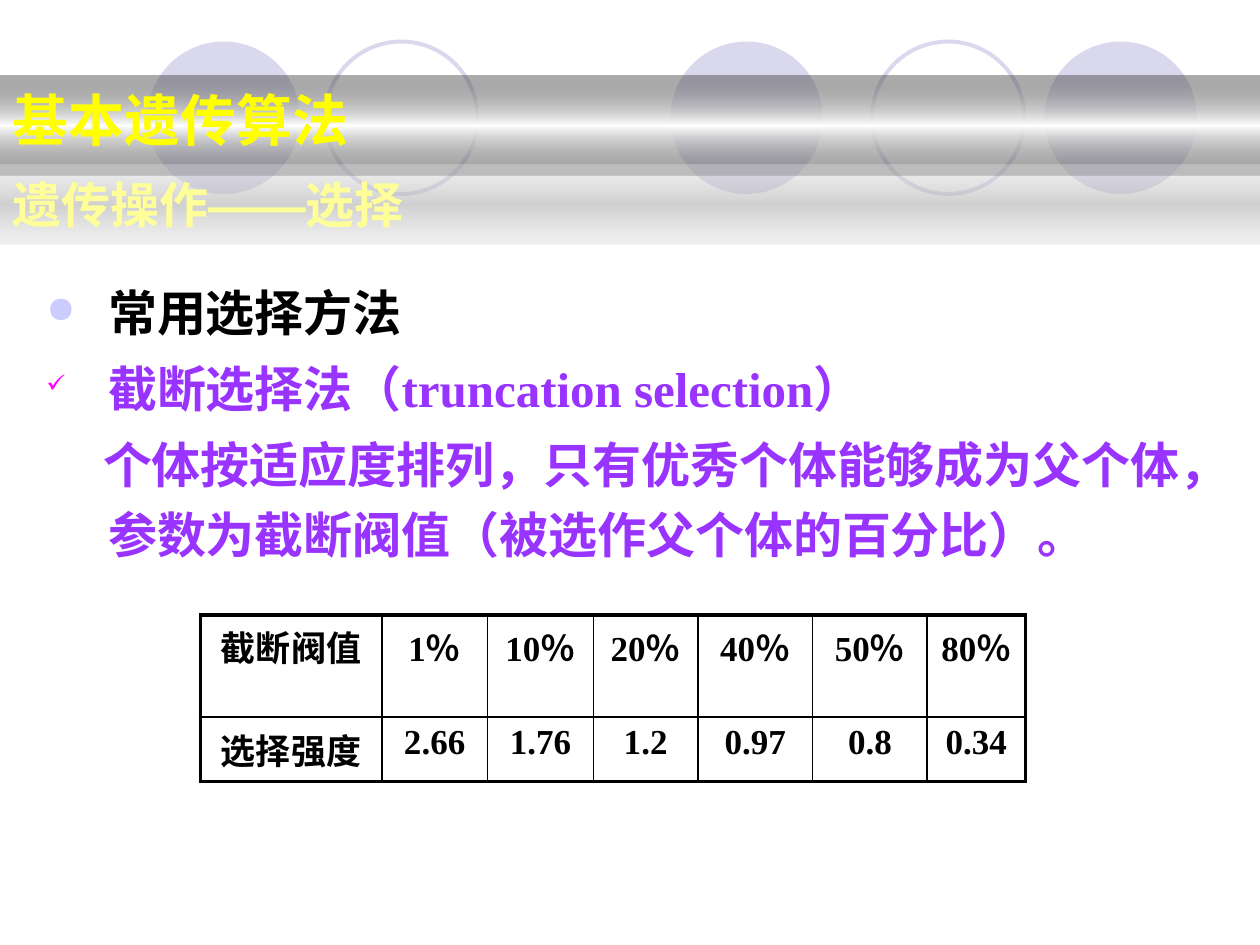
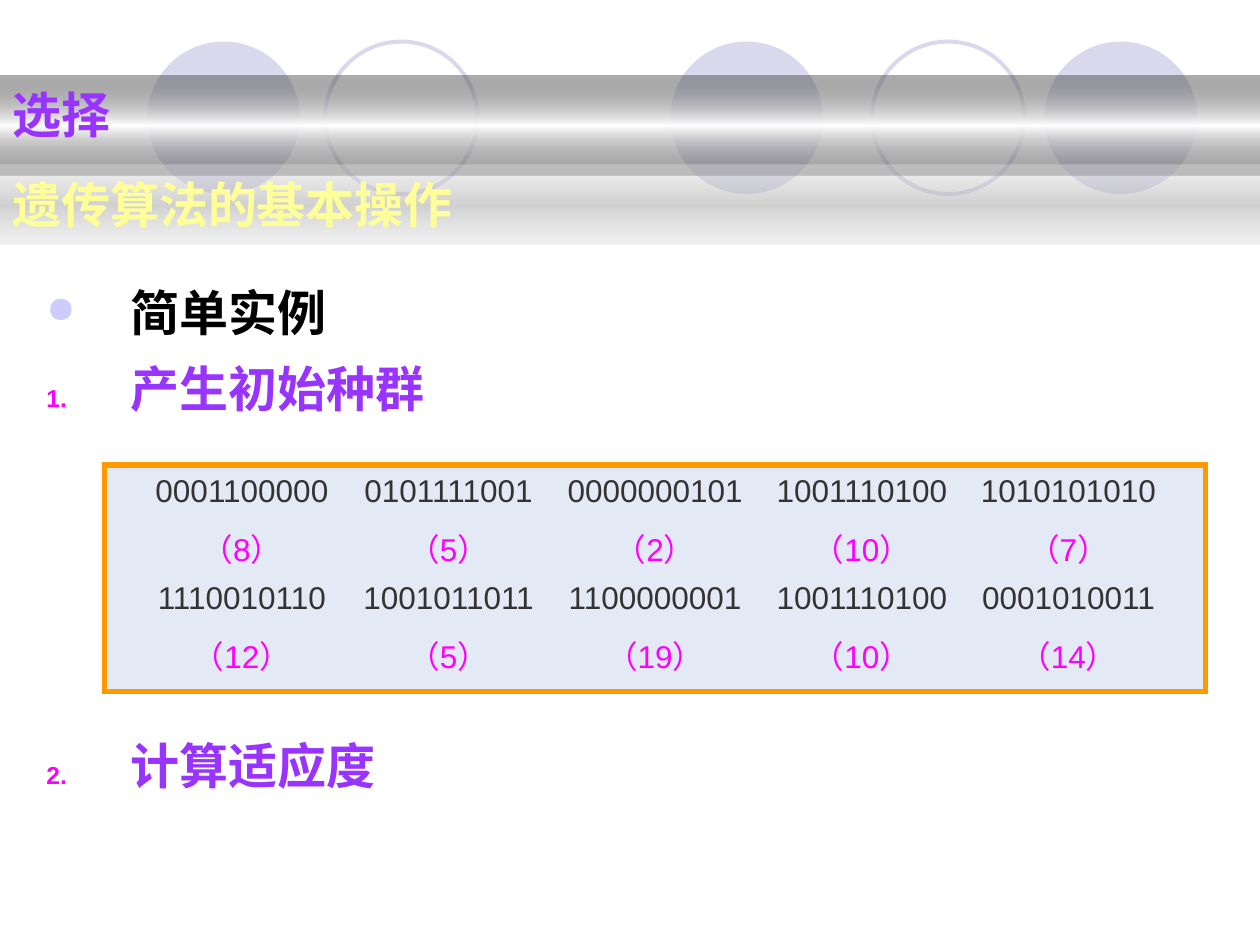
from pptx import Presentation, util as u
from pptx.dml.color import RGBColor
from pptx.enum import shapes, text
from pptx.oxml import parse_xml
from pptx.oxml.ns import nsdecls, qn

BLACK = RGBColor(0, 0, 0)
YELLOW = RGBColor(0xFF, 0xFF, 0x00)
PALE_YELLOW = RGBColor(0xFF, 0xFF, 0x99)
PURPLE = RGBColor(0x99, 0x33, 0xFF)
MAGENTA = RGBColor(0xFF, 0x00, 0xFF)
LAVENDER = RGBColor(0xCC, 0xCC, 0xFF)
CIRCLE = RGBColor(0xD9, 0xD8, 0xEC)
ORANGE = RGBColor(0xFF, 0x99, 0x00)
PALE_BLUE = RGBColor(0xE3, 0xEA, 0xF5)
DARK_GRAY = RGBColor(0x33, 0x33, 0x33)
ARIAL, TIMES = "Arial", "Times New Roman"

WIDTH, HEIGHT = 10, 7.5
CIRCLE_SIZE = 1.21
CIRCLES = [(5.32, True), (8.29, True), (1.17, True), (6.92, False), (2.58, False)]
TITLE_BAND = (0, 0.6, WIDTH, 0.79)
SUBTITLE_BAND = (0, 1.31, WIDTH, 0.63)
BODY = (0.27, 2.1, 9.34, 5.2)
TITLE_STOPS = [(0, "333333", 40), (50, "FFFFFF", 100), (100, "333333", 40)]
SUBTITLE_STOPS = [(0, "DDDDDD", 40), (50, "B2B2B2", 60), (100, "DDDDDD", 40)]

DOT = ('<a:buChar {} char="●"/>', LAVENDER, 75)
CHECK = ('<a:buChar {} char="✓"/>', MAGENTA, 50)
NUMBER = ('<a:buAutoNum {} type="arabicPeriod"/>', MAGENTA, 50)

SELECTION = {
    "title": ("基本遗传算法", 32, TIMES, YELLOW),
    "subtitle": "遗传操作——选择",
    "body": [
        ("常用选择方法", ARIAL, BLACK, DOT, (0.49, -0.49), 3),
        ("截断选择法（truncation selection）", TIMES, PURPLE, CHECK, (0.49, -0.49), 3),
        ("个体按适应度排列，只有优秀个体能够成为父个体，参数为截断阀值（被选作父个体的百分比）。",
         TIMES, PURPLE, None, (0.49, -0.04), 3),
    ],
}
EXAMPLE = {
    "title": ("选择", 28, ARIAL, PURPLE),
    "subtitle": "遗传算法的基本操作",
    "body": [
        ("简单实例", ARIAL, BLACK, DOT, (0.67, -0.67), 3),
        ("产生初始种群", TIMES, PURPLE, NUMBER, (0.67, -0.67), 3),
        ("计算适应度", TIMES, PURPLE, NUMBER, (0.67, -0.67), 175),
    ],
}
THRESHOLDS = [
    ["截断阀值", "1％", "10％", "20％", "40％", "50％", "80％"],
    ["选择强度", "2.66", "1.76", "1.2", "0.97", "0.8", "0.34"],
]
COLUMN_WIDTHS = [1.44, 0.84, 0.84, 0.83, 0.91, 0.91, 0.78]
ROW_HEIGHTS = [0.43, 0.51]
POPULATION = [
    [("0001100000", 8), ("0101111001", 5), ("0000000101", 2), ("1001110100", 10), ("1010101010", 7)],
    [("1110010110", 12), ("1001011011", 5), ("1100000001", 19), ("1001110100", 10), ("0001010011", 14)],
]
POPULATION_BOX = (0.83, 3.69, 8.74, 1.8)
FIRST_COLUMN, COLUMN_STEP = 1.09, 1.64


def inches(values):
    return [u.Inches(value) for value in values]


def add_run(paragraph, words, size, font, color, bold=True, east_asian=True):
    run = paragraph.add_run()
    run.text = words
    run.font.size = u.Pt(size)
    run.font.name = font
    run.font.bold = bold
    run.font.color.rgb = color
    if east_asian:
        latin = run.font._element.find(qn("a:latin"))
        latin.addnext(parse_xml(f'<a:ea {nsdecls("a")} typeface="{ARIAL}"/>'))


def set_spacing(paragraph, line, before, indent):
    paragraph.alignment = text.PP_ALIGN.LEFT
    paragraph.line_spacing = line
    paragraph.space_before = u.Pt(before)
    properties = paragraph._p.get_or_add_pPr()
    properties.set("marL", str(u.Inches(indent[0])))
    properties.set("indent", str(u.Inches(indent[1])))
    return properties


def prepare_frame(shape):
    frame = shape.text_frame
    frame.word_wrap = True
    frame.auto_size = text.MSO_AUTO_SIZE.NONE
    frame.vertical_anchor = text.MSO_ANCHOR.TOP
    return frame


def fill_gradient(shape, stops):
    marks = "".join(
        f'<a:gs pos="{position * 1000}"><a:srgbClr val="{color}">'
        f'<a:alpha val="{alpha * 1000}"/></a:srgbClr></a:gs>'
        for position, color, alpha in stops)
    shape.fill.background()
    empty = shape.element.spPr.find(qn("a:noFill"))
    empty.getparent().replace(empty, parse_xml(
        f'<a:gradFill {nsdecls("a")} rotWithShape="1"><a:gsLst>{marks}</a:gsLst>'
        '<a:lin ang="5400000" scaled="1"/></a:gradFill>'))
    shape.line.fill.background()


def format_band(shape, stops, words, size, font, color):
    fill_gradient(shape, stops)
    paragraph = prepare_frame(shape).paragraphs[0]
    set_spacing(paragraph, 1.05, size * 0.2, (0.49, -0.49))
    add_run(paragraph, words, size, font, color)


def add_shape(slide, kind, box):
    shape = slide.shapes.add_shape(kind, *inches(box))
    shape.shadow.inherit = False
    return shape


def add_circles(slide):
    for left, filled in CIRCLES:
        circle = add_shape(slide, shapes.MSO_SHAPE.OVAL, (left, 0.33, CIRCLE_SIZE, CIRCLE_SIZE))
        if filled:
            circle.fill.solid()
            circle.fill.fore_color.rgb = CIRCLE
            circle.line.fill.background()
        else:
            circle.fill.background()
            circle.line.color.rgb = CIRCLE
            circle.line.width = u.Pt(2.25)


def add_bullet(properties, bullet):
    mark, color, percent = bullet
    for xml in (f'<a:buClr {{}}><a:srgbClr val="{color}"/></a:buClr>',
                f'<a:buSzPct {{}} val="{percent * 1000}"/>', mark):
        properties.append(parse_xml(xml.format(nsdecls("a"))))


def add_body(slide, items):
    frame = prepare_frame(slide.shapes.add_textbox(*inches(BODY)))
    for index, (words, font, color, bullet, indent, before) in enumerate(items):
        paragraph = frame.add_paragraph() if index else frame.paragraphs[0]
        properties = set_spacing(paragraph, 1.2, before, indent)
        if bullet:
            add_bullet(properties, bullet)
        add_run(paragraph, words, 28, font, color)


def add_slide(presentation, content):
    slide = presentation.slides.add_slide(presentation.slide_layouts[5])
    add_circles(slide)
    title = slide.shapes.title
    slide.shapes.element.append(title.element)
    title.left, title.top, title.width, title.height = inches(TITLE_BAND)
    format_band(title, TITLE_STOPS, *content["title"])
    add_body(slide, content["body"])
    subtitle = add_shape(slide, shapes.MSO_SHAPE.RECTANGLE, SUBTITLE_BAND)
    format_band(subtitle, SUBTITLE_STOPS, content["subtitle"], 28, TIMES, PALE_YELLOW)
    return slide


def set_borders(cell, outer_sides):
    properties = cell._tc.get_or_add_tcPr()
    for index, side in enumerate("LRTB"):
        width = u.Pt(2.25 if side in outer_sides else 1)
        properties.insert(index, parse_xml(
            f'<a:ln{side} {nsdecls("a")} w="{width}"><a:solidFill>'
            f'<a:srgbClr val="{BLACK}"/></a:solidFill></a:ln{side}>'))


def add_threshold_table(slide):
    rows, columns = len(THRESHOLDS), len(COLUMN_WIDTHS)
    table = slide.shapes.add_table(rows, columns, *inches(
        (1.59, 4.88, sum(COLUMN_WIDTHS), sum(ROW_HEIGHTS)))).table
    table.first_row = table.horz_banding = False
    for column, width in zip(table.columns, COLUMN_WIDTHS):
        column.width = u.Inches(width)
    for row, height in zip(table.rows, ROW_HEIGHTS):
        row.height = u.Inches(height)
    for row, values in enumerate(THRESHOLDS):
        for column, value in enumerate(values):
            cell = table.cell(row, column)
            cell.fill.background()
            edges = {"L": column == 0, "R": column == columns - 1,
                     "T": row == 0, "B": row == rows - 1}
            set_borders(cell, [side for side, outer in edges.items() if outer])
            paragraph = cell.text_frame.paragraphs[0]
            paragraph.alignment = text.PP_ALIGN.CENTER
            paragraph.space_before = u.Pt(4)
            add_run(paragraph, value, 20, TIMES, BLACK, east_asian=False)


def add_population(slide):
    left, top, width, height = POPULATION_BOX
    box = add_shape(slide, shapes.MSO_SHAPE.RECTANGLE, POPULATION_BOX)
    box.fill.solid()
    box.fill.fore_color.rgb = PALE_BLUE
    box.line.color.rgb = ORANGE
    box.line.width = u.Pt(3)
    box.element.spPr.find(qn("a:ln")).append(parse_xml(f'<a:miter {nsdecls("a")} lim="800000"/>'))
    for index, individuals in enumerate(zip(*POPULATION)):
        column = left + FIRST_COLUMN - COLUMN_STEP / 2 + COLUMN_STEP * index
        frame = prepare_frame(slide.shapes.add_textbox(*inches((column, top, COLUMN_STEP, height))))
        frame.margin_left = frame.margin_right = 0
        lines = []
        for code, count in individuals:
            lines += [(code, DARK_GRAY, 6), (f"（{count}）", MAGENTA, 12)]
        for position, (words, color, before) in enumerate(lines):
            paragraph = frame.add_paragraph() if position else frame.paragraphs[0]
            paragraph.alignment = text.PP_ALIGN.CENTER
            paragraph.space_before = u.Pt(before if position else 0)
            add_run(paragraph, words, 18, ARIAL, color, False)


def main():
    presentation = Presentation()
    presentation.slide_width, presentation.slide_height = inches((WIDTH, HEIGHT))
    add_threshold_table(add_slide(presentation, SELECTION))
    add_population(add_slide(presentation, EXAMPLE))
    presentation.save("out.pptx")


if __name__ == "__main__":
    main()
